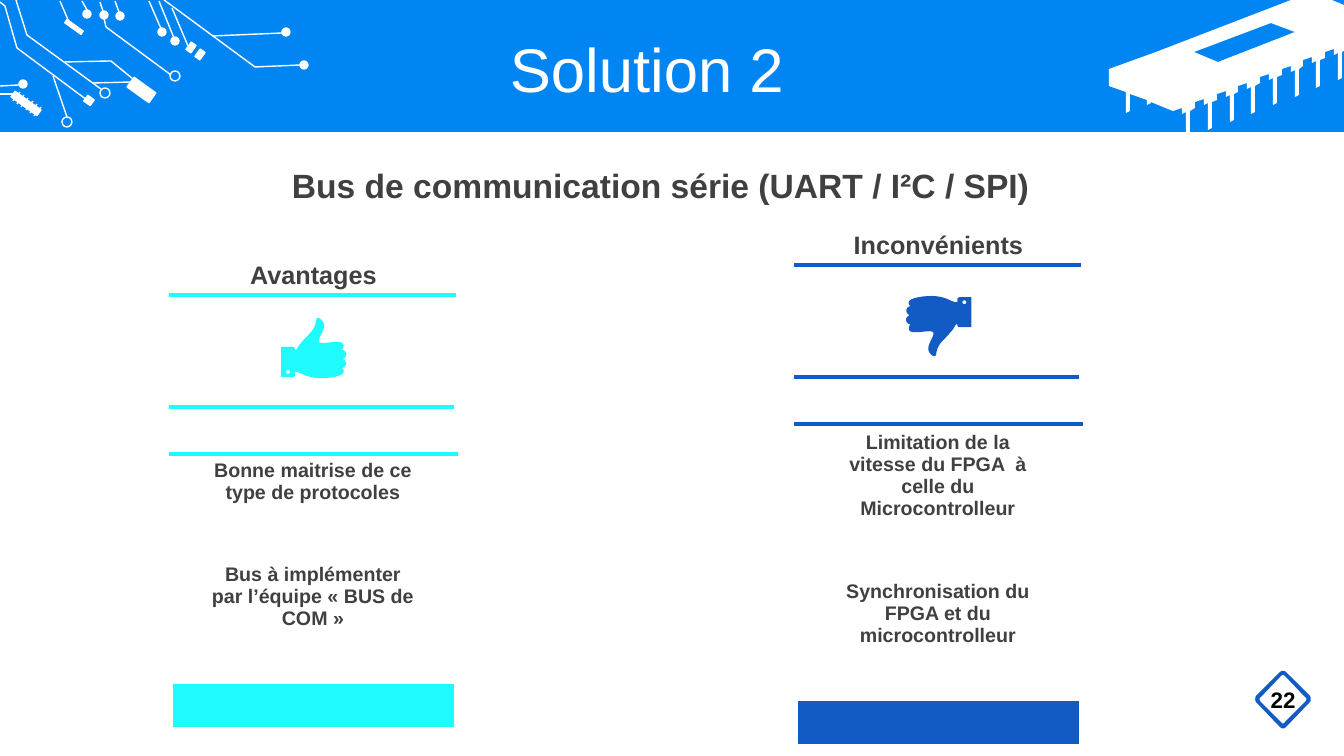
"""Build the "Solution 2" slide comparing pros and cons of a serial bus."""
from dataclasses import dataclass

from lxml import etree
from pptx import Presentation
from pptx import util as u
from pptx.dml.color import RGBColor
from pptx.enum import shapes, text
from pptx.oxml import ns

PX = 914400 / 100.8
TILT = 35.7
NO_STYLE = "{2D5ABB26-0587-4C30-8999-92F81FD0307C}"


@dataclass(frozen=True)
class Theme:
    font: str = "Arial"
    white: str = "FFFFFF"
    black: str = "000000"
    banner: str = "0085F2"
    ink: str = "404040"
    pro: str = "1FFBFD"
    con: str = "125AC4"
    title: int = 44
    subtitle: int = 24
    heading: int = 18
    number: int = 16
    body: int = 14
    trace: int = 1
    rule: int = 3


THEME = Theme()

THUMB = [
    [(7, 52), (6, 52, 5, 53, 5, 54), (5, 55, 6, 56, 7, 56),
     (8, 56, 9, 55, 9, 54), (9, 53, 8, 52, 7, 52)],
    [(37, 0), (39, 0, 42, 3, 43, 6), (45, 13, 32, 25, 41, 25),
     (47, 25, 50, 24, 57, 24), (63, 24, 64, 28, 61, 32),
     (65, 32, 68, 38, 62, 41), (68, 45, 64, 50, 61, 50),
     (64, 53, 63, 55, 60, 57), (53, 60, 36, 62, 26, 58),
     (21, 56, 18, 54, 14, 54), (14, 57), (14, 58, 13, 59, 12, 59),
     (0, 59), (0, 29), (12, 29), (13, 29, 14, 30, 14, 31), (14, 32),
     (15, 32, 15, 32, 16, 31), (17, 29, 18, 27, 21, 24),
     (26, 17, 33, 14, 35, 4), (35, 1, 36, 0, 37, 0)],
]
BADGE = [
    [(28, 4), (27, 4, 26, 5, 26, 5), (6, 26), (4, 27, 4, 29, 6, 31), (26, 51),
     (27, 53, 29, 53, 30, 51), (50, 31), (52, 29, 52, 27, 50, 26), (30, 5),
     (30, 5, 29, 4, 28, 4)],
    [(28, 0), (29, 0, 30, 0, 31, 1), (55, 25), (56, 27, 56, 30, 55, 31), (31, 56),
     (29, 58, 27, 58, 25, 56), (1, 31), (0, 30, 0, 27, 1, 25), (25, 1),
     (26, 0, 27, 0, 28, 0)],
]
PIN = [(0, 0), (0, 26), (-4, 28), (-4, 1), (-8, 3), (-8, -3), (-17, 0), (-17, 6)]
SLOT = [(1271, 23), (1194, 52), (1218, 62), (1295, 32)]
CHIP_TOP = [(1291, 0), (1332, 0), (1344, 5), (1344, 51)]
CHIP_END = [(1151, 102), (1151, 103), (1147, 105), (1147, 100), (1130, 94), (1130, 111),
            (1126, 113), (1126, 92), (1109, 86), (1109, 69), (1156, 52)]

PADS = [(300, 61), (282, 28), (83, 10), (100, 11), (116, 12), (19, 80), (171, 37), (158, 28)]
RINGS = [(170, 71), (100, 88), (62, 117)]
PARTS = [(128, 84, 27, 12), (64, 25, 20, 4), (85, 97, 8, 7), (188, 43, 6, 9),
         (197, 50, 6, 9), (10, 100, 32, 7)]
WIRES = [(60, 1, 69, 22), (82, 1, 87, 10), (100, 2, 103, 11), (115, 1, 119, 12),
         (149, 1, 162, 31), (159, 1, 174, 38), (212, 36, 282, 33), (172, 8, 188, 46),
         (0, 86, 19, 85), (0, 94, 14, 94), (53, 76, 67, 117), (93, 83, 131, 82)]
TRACES = [
    [(164, 0), (255, 67), (302, 65)],
    [(16, 0), (27, 35), (101, 89)],
    [(0, 2), (5, 6), (17, 48), (87, 100)],
    [(65, 62), (111, 61), (133, 79)],
    [(104, 18), (106, 27), (171, 75)],
]


def px(*lengths):
    """Turn pixel lengths into EMU."""
    return [u.Emu(round(length * PX)) for length in lengths]


def assign(target, values):
    """Set each named attribute of the target."""
    for name, value in values.items():
        setattr(target, name, value)


def paint(shape, fill=None, line=None):
    """Give a shape its fill and line colours, without shadow."""
    shape.shadow.inherit = False
    if fill:
        shape.fill.solid()
        shape.fill.fore_color.rgb = RGBColor.from_string(fill)
    else:
        shape.fill.background()
    if line:
        shape.line.color.rgb = RGBColor.from_string(line)
        shape.line.width = u.Pt(THEME.trace)
    else:
        shape.line.fill.background()


def add_preset(page, kind, frame, fill=None, line=None, rotation=0):
    """Add a painted preset shape."""
    shape = page.shapes.add_shape(kind, *px(*frame))
    shape.rotation = rotation
    paint(shape, fill, line)


def add_wire(page, ends):
    """Add a straight white circuit wire."""
    wire = page.shapes.add_connector(shapes.MSO_CONNECTOR.STRAIGHT, *px(*ends))
    wire.line.color.rgb = RGBColor.from_string(THEME.white)
    wire.line.width = u.Pt(THEME.trace)
    etree.SubElement(wire._element.spPr, ns.qn("a:effectLst"))


def flatten(contour, steps=8):
    """Turn line and cubic curve segments into plain points."""
    points = [contour[0]]
    for segment in contour[1:]:
        if len(segment) == 2:
            points.append(segment)
            continue
        controls = [points[-1], segment[:2], segment[2:4], segment[4:]]
        for step in range(1, steps + 1):
            t = step / steps
            weights = [(1 - t) ** 3, 3 * t * (1 - t) ** 2, 3 * t * t * (1 - t), t ** 3]
            points.append(tuple(sum(w * c[axis] for w, c in zip(weights, controls))
                                for axis in (0, 1)))
    return points


def add_outline(page, contours, origin=(0, 0), fill=None, line=None, rotation=0):
    """Add a freeform made of contours, closed when filled."""
    paths = [[px(x + origin[0], y + origin[1]) for x, y in flatten(contour)]
             for contour in contours]
    builder = page.shapes.build_freeform(*paths[0][0])
    for index, points in enumerate(paths):
        if index:
            builder.move_to(*points[0])
        builder.add_line_segments(points[1:], close=bool(fill))
    shape = builder.convert_to_shape()
    shape.rotation = rotation
    paint(shape, fill, line)


def write(frame, words, size, color, bold=True, **layout):
    """Write one formatted paragraph into a text frame."""
    para = frame.paragraphs[0]
    assign(para, layout)
    span = para.add_run()
    span.text = words
    assign(span.font, {"name": THEME.font, "size": u.Pt(size), "bold": bold})
    span.font.color.rgb = RGBColor.from_string(color)


def add_text(page, frame, words, size, color, anchor=text.MSO_ANCHOR.MIDDLE, **style):
    """Add a wrapping text box."""
    box = page.shapes.add_textbox(*px(*frame))
    assign(box.text_frame, {"word_wrap": True, "vertical_anchor": anchor})
    write(box.text_frame, words, size, color, **style)


def style_cell(cell, fill, borders):
    """Set the borders and fill of a table cell."""
    properties = cell._tc.get_or_add_tcPr()
    for side in "LRTB":
        if side in borders:
            line = etree.SubElement(properties, ns.qn(f"a:ln{side}"), w=str(u.Pt(THEME.rule)))
            solid = etree.SubElement(line, ns.qn("a:solidFill"))
            etree.SubElement(solid, ns.qn("a:srgbClr"), val=borders[side])
    cell.fill.solid()
    cell.fill.fore_color.rgb = RGBColor.from_string(fill)


def add_opinion(page, left, top, accent, heading, points, heights):
    """Add a table with a heading, an icon band, two points and a footer bar."""
    rows = [38, 112, 47, heights[0], 47, heights[1], 47, 45]
    columns = [30, 224, 31]
    last = len(rows) - 1
    table = page.shapes.add_table(len(rows), len(columns),
                                  *px(left, top, sum(columns), sum(rows))).table
    assign(table, {"first_row": False, "horz_banding": False})
    table._tbl.tblPr.find(ns.qn("a:tableStyleId")).text = NO_STYLE
    for column, width in zip(table.columns, px(*columns)):
        column.width = width
    words = {(0, 0): (heading, THEME.heading),
             (3, 1): (points[0], THEME.body), (5, 1): (points[1], THEME.body)}
    for r, height in enumerate(px(*rows)):
        table.rows[r].height = height
        for c in range(len(columns)):
            borders = {0: {"L": THEME.white}, 2: {"R": THEME.white}}.get(c, {})
            if r <= 2:
                borders = borders | {"T": accent if r else THEME.white}
            if r <= 1 or r == last:
                borders = borders | {"B": THEME.white if r == last else accent}
            cell = table.cell(r, c)
            style_cell(cell, accent if r == last else THEME.white, borders)
            if (r, c) in words:
                side, edge = px(8, 4)
                assign(cell, {"vertical_anchor": text.MSO_ANCHOR.MIDDLE, "margin_left": side,
                              "margin_right": side, "margin_top": edge, "margin_bottom": edge})
                write(cell.text_frame, *words[r, c], THEME.ink, alignment=text.PP_ALIGN.CENTER)
    for r in (0, 1):
        table.cell(r, 0).merge(table.cell(r, 2))


def add_banner(page):
    """Draw the blue banner with its chip and circuit traces."""
    kinds, white = shapes.MSO_SHAPE, THEME.white
    add_preset(page, kinds.RECTANGLE, (0, 0, 1344, 132), THEME.banner)
    pins = [(1342 - round(21.7 * i) + x, 52 + round(8.4 * i) + y)
            for i in range(8) for x, y in PIN][:-1]
    add_outline(page, [SLOT, CHIP_TOP + pins + CHIP_END], fill=white)
    for frame in PARTS:
        add_preset(page, kinds.RECTANGLE, frame, white, white, TILT)
    for x, y in PADS:
        add_preset(page, kinds.OVAL, (x, y, 8, 8), white, white)
    for x, y in RINGS:
        add_preset(page, kinds.OVAL, (x, y, 10, 10), line=white)
    teeth = [(13 + round(4.2 * i), 101 + 3 * i, 20 + round(4.2 * i), 92 + 3 * i)
             for i in range(6)]
    for ends in WIRES + teeth:
        add_wire(page, ends)
    for trace in TRACES:
        add_outline(page, [trace], line=white)


def main():
    """Build and save the slide."""
    deck = Presentation()
    assign(deck, dict(zip(("slide_width", "slide_height"), px(1344, 756))))
    page = deck.slides.add_slide(deck.slide_layouts[6])
    center = text.PP_ALIGN.CENTER
    add_banner(page)
    add_text(page, (9, 33, 1276, 80), "Solution 2", THEME.title, THEME.white,
             bold=False, alignment=center, line_spacing=0.9)
    add_text(page, (1255, 681, 56, 37), "22", THEME.number, THEME.black,
             anchor=text.MSO_ANCHOR.TOP, alignment=center)
    add_outline(page, BADGE, (1255, 671), THEME.con)
    add_text(page, (282, 160, 959, 50), "Bus de communication série (UART / I²C / SPI)",
             THEME.subtitle, THEME.ink)
    add_opinion(page, 796, 227, THEME.con, "Inconvénients",
                ["Limitation de la vitesse du FPGA  à celle du Microcontrolleur",
                 "Synchronisation du FPGA et du microcontrolleur"], (102, 81))
    add_opinion(page, 171, 257, THEME.pro, "Avantages",
                ["Bonne maitrise de ce type de protocoles",
                 "Bus à implémenter par l’équipe « BUS de COM »"], (54, 81))
    add_outline(page, THUMB, (281, 318), THEME.pro)
    add_outline(page, THUMB, (906, 296), THEME.con, rotation=180)
    deck.save("out.pptx")


if __name__ == "__main__":
    main()
